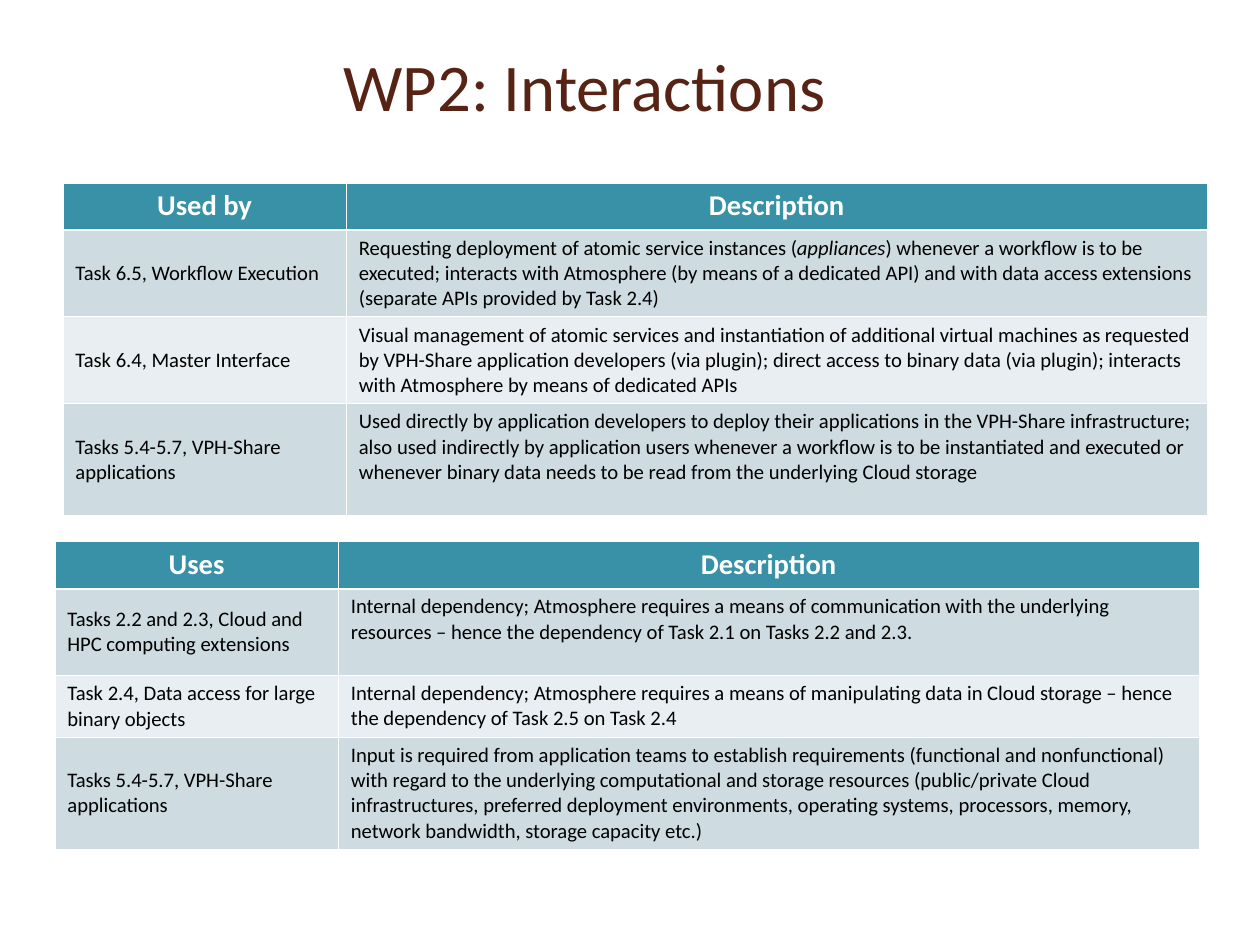
from dataclasses import dataclass

from pptx import Presentation
from pptx import util as u
from pptx.dml.color import RGBColor
from pptx.enum import text
from pptx.oxml import parse_xml
from pptx.oxml.ns import nsdecls


@dataclass(frozen=True)
class Theme:
    font: str = "Calibri"
    title_color: str = "572314"
    header_fill: str = "3891A7"
    header_text: str = "FFFFFF"
    body_text: str = "000000"
    band_fills: tuple = ("CEDCE1", "E8EEF1")
    border: str = "FFFFFF"
    thin_line: float = 0.45
    thick_line: float = 1.47
    title_size: int = 42
    header_size: int = 18
    body_size: int = 13


THEME = Theme()
COLUMN_WIDTHS = (2.48, 7.53)

USED_BY_ROWS = [
    ("Used by", "Description"),
    ("Task 6.5, Workflow Execution",
     ("Requesting deployment of atomic service instances (", "appliances",
      ") whenever a workflow is to be executed; interacts with Atmosphere (by means of "
      "a dedicated API) and with data access extensions (separate APIs provided by Task 2.4)")),
    ("Task 6.4, Master Interface",
     "Visual management of atomic services and instantiation of additional virtual machines "
     "as requested by VPH-Share application developers (via plugin); direct access to binary "
     "data (via plugin); interacts with Atmosphere by means of dedicated APIs"),
    ("Tasks 5.4-5.7, VPH-Share applications",
     "Used directly by application developers to deploy their applications in the VPH-Share "
     "infrastructure; also used indirectly by application users whenever a workflow is to be "
     "instantiated and executed or whenever binary data needs to be read from the underlying "
     "Cloud storage"),
]

USES_ROWS = [
    ("Uses", "Description"),
    ("Tasks 2.2 and 2.3, Cloud and HPC computing extensions",
     "Internal dependency; Atmosphere requires a means of communication with the underlying "
     "resources – hence the dependency of Task 2.1 on Tasks 2.2 and 2.3."),
    ("Task 2.4, Data access for large binary objects",
     "Internal dependency; Atmosphere requires a means of manipulating data in Cloud storage "
     "– hence the dependency of Task 2.5 on Task 2.4"),
    ("Tasks 5.4-5.7, VPH-Share applications",
     "Input is required from application teams to establish requirements (functional and "
     "nonfunctional) with regard to the underlying computational and storage resources "
     "(public/private Cloud infrastructures, preferred deployment environments, operating "
     "systems, processors, memory, network bandwidth, storage capacity etc.)"),
]


def apply_format(target, values):
    for name, value in values.items():
        setattr(target, name, value)


def set_margins(target, horizontal, vertical):
    apply_format(target, {
        "margin_left": u.Inches(horizontal), "margin_right": u.Inches(horizontal),
        "margin_top": u.Inches(vertical), "margin_bottom": u.Inches(vertical),
    })


def write_runs(paragraph, content, size, color, bold=False):
    parts = (content,) if isinstance(content, str) else content
    for index, part in enumerate(parts):
        run = paragraph.add_run()
        run.text = part
        apply_format(run.font, {
            "name": THEME.font, "size": u.Pt(size), "bold": bold, "italic": index % 2 == 1,
        })
        run.font.color.rgb = RGBColor.from_string(color)


def set_borders(cell, row_index):
    widths = {side: THEME.thin_line for side in "LRTB"}
    if row_index < 2:
        widths["B" if row_index == 0 else "T"] = THEME.thick_line
    properties = cell._tc.get_or_add_tcPr()
    for side, width in widths.items():
        properties.append(parse_xml(
            f'<a:ln{side} {nsdecls("a")} w="{u.Pt(width)}"><a:solidFill>'
            f'<a:srgbClr val="{THEME.border}"/></a:solidFill></a:ln{side}>'))


def format_cell(cell, content, row_index, column_index):
    is_header = row_index == 0
    set_borders(cell, row_index)
    set_margins(cell, 0.11, 0.05)
    is_label = column_index == 0 and not is_header
    cell.vertical_anchor = text.MSO_ANCHOR.MIDDLE if is_label else text.MSO_ANCHOR.TOP
    fill = THEME.header_fill if is_header else THEME.band_fills[(row_index - 1) % 2]
    cell.fill.solid()
    cell.fill.fore_color.rgb = RGBColor.from_string(fill)
    paragraph = cell.text_frame.paragraphs[0]
    paragraph.alignment = text.PP_ALIGN.CENTER if is_header else text.PP_ALIGN.LEFT
    if is_header:
        write_runs(paragraph, content, THEME.header_size, THEME.header_text, bold=True)
    else:
        write_runs(paragraph, content, THEME.body_size, THEME.body_text)


def add_interaction_table(slide, left, top, rows, row_heights):
    frame = slide.shapes.add_table(
        len(rows), len(COLUMN_WIDTHS), u.Inches(left), u.Inches(top),
        u.Inches(sum(COLUMN_WIDTHS)), u.Inches(sum(row_heights)))
    table = frame.table
    for column, width in zip(table.columns, COLUMN_WIDTHS):
        column.width = u.Inches(width)
    for row, height in zip(table.rows, row_heights):
        row.height = u.Inches(height)
    for row_index, contents in enumerate(rows):
        for column_index, content in enumerate(contents):
            format_cell(table.cell(row_index, column_index), content, row_index, column_index)


def add_title(slide, left, top, width, height, title):
    shape = slide.shapes.add_textbox(*map(u.Inches, (left, top, width, height)))
    frame = shape.text_frame
    apply_format(frame, {"word_wrap": True, "vertical_anchor": text.MSO_ANCHOR.MIDDLE})
    set_margins(frame, 0.11, 0.06)
    paragraph = frame.paragraphs[0]
    paragraph.alignment = text.PP_ALIGN.CENTER
    write_runs(paragraph, title, THEME.title_size, THEME.title_color)


def main():
    presentation = Presentation()
    presentation.slide_width = u.Cm(28)
    presentation.slide_height = u.Cm(21)
    slide = presentation.slides.add_slide(presentation.slide_layouts[6])
    add_interaction_table(slide, 0.55, 1.6, USED_BY_ROWS, (0.41, 0.76, 0.76, 0.98))
    add_interaction_table(slide, 0.48, 4.74, USES_ROWS, (0.41, 0.76, 0.54, 0.98))
    add_title(slide, 0.55, 0.05, 9.13, 1.38, "WP2: Interactions")
    presentation.save("out.pptx")


if __name__ == "__main__":
    main()
